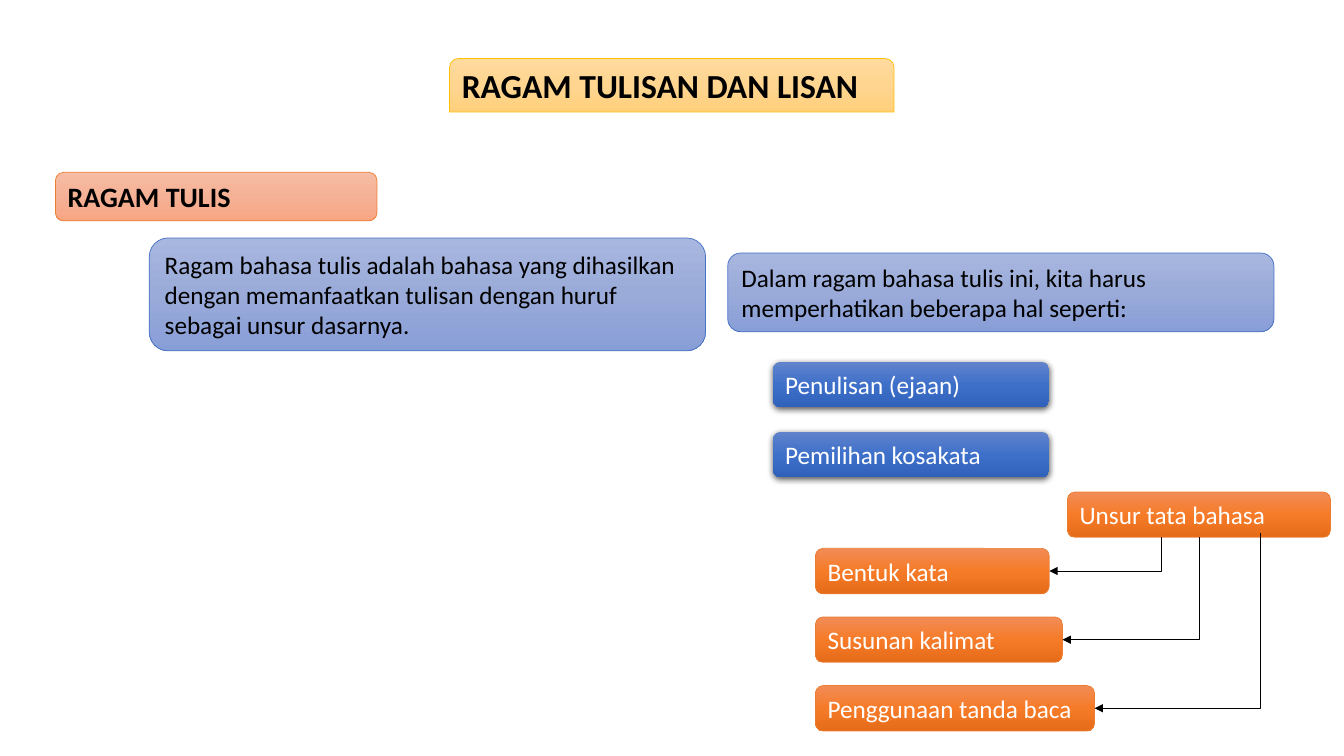
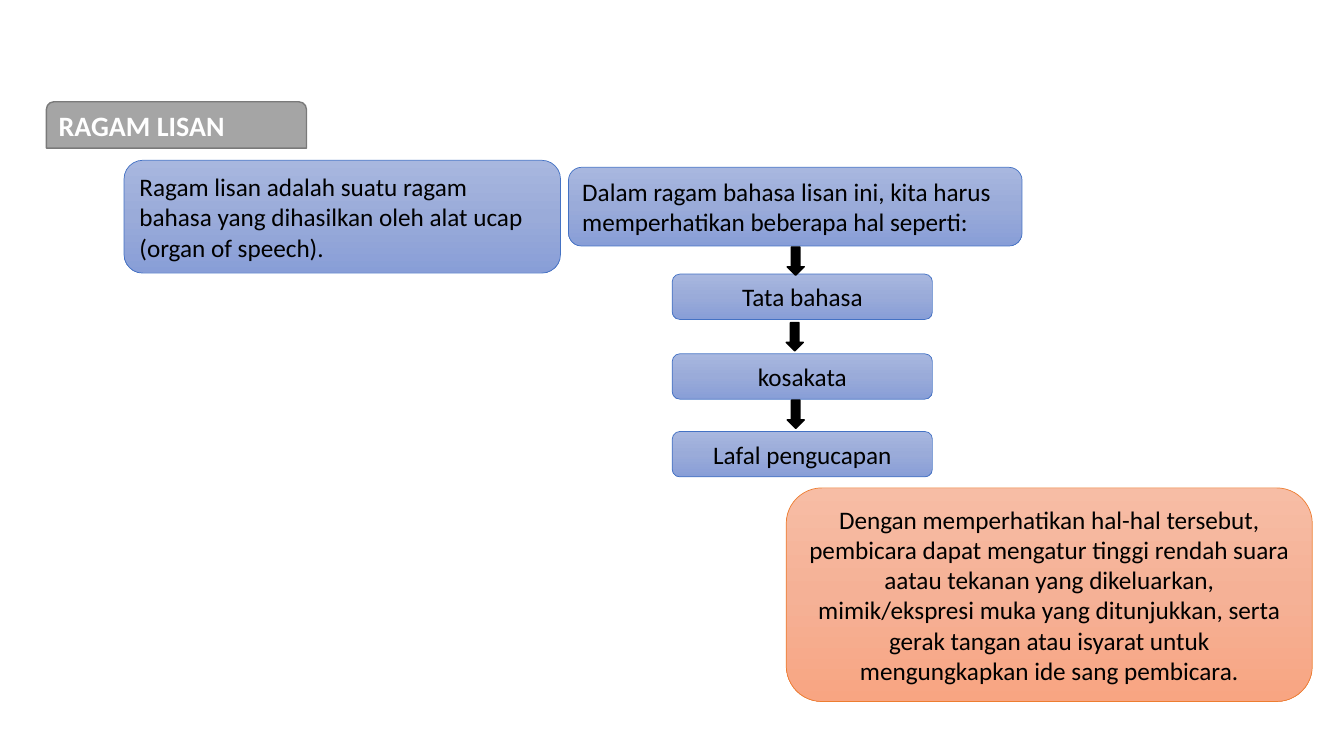
from copy import deepcopy
from dataclasses import dataclass
from typing import Optional

from lxml.etree import SubElement
from pptx import Presentation
from pptx.dml.color import RGBColor
from pptx.enum.shapes import MSO_CONNECTOR, MSO_SHAPE
from pptx.enum.text import MSO_ANCHOR, MSO_AUTO_SIZE, PP_ALIGN
from pptx.oxml.ns import qn
from pptx.util import Pt

FONT = "Calibri"
ITEM_HEIGHT = 32.4
COLORS = {
    "black": "000000", "white": "FFFFFF",
    "gold": "FFC000", "gold_top": "FFDB9E", "gold_mid": "FFD590", "gold_end": "FFD07C",
    "orange": "ED7D31", "peach_top": "F7BDA5", "peach_mid": "F5B196", "peach_end": "F8A582",
    "blue": "4472C4", "sky_top": "A8B7DF", "sky_mid": "9AABD9", "sky_end": "889ED7",
    "royal_top": "6183CB", "royal_mid": "3E70CA", "royal_end": "3062BB",
    "vivid_top": "F18C57", "vivid_mid": "F67B28", "vivid_end": "E56C19",
    "gray": "A5A5A5", "gray_edge": "7A7A7A",
}


@dataclass(frozen=True)
class Look:
    fill: tuple[str, ...]
    edge: Optional[str]
    ink: str = "black"
    edge_width: float = 0.5
    shadow: bool = False


@dataclass(frozen=True)
class Panel:
    left: float
    top: float
    width: float
    height: float
    text: str
    look: Look
    size: float = 18
    bold: bool = False
    align: PP_ALIGN = PP_ALIGN.LEFT


@dataclass(frozen=True)
class Bend:
    start_x: float
    start_y: float
    end_x: float
    end_y: float


GOLD = Look(("gold_top", "gold_mid", "gold_end"), "gold")
PEACH = Look(("peach_top", "peach_mid", "peach_end"), "orange")
SKY = Look(("sky_top", "sky_mid", "sky_end"), "blue")
ROYAL = Look(("royal_top", "royal_mid", "royal_end"), None, "white", shadow=True)
VIVID = Look(("vivid_top", "vivid_mid", "vivid_end"), "orange", "white")
GRAY = Look(("gray",), "gray_edge", "white", 1)
SOLID_BLACK = Look(("black",), "black", edge_width=1)


def rgb(name: str) -> RGBColor:
    return RGBColor.from_string(COLORS[name])


def apply_fill(shape, names: tuple[str, ...]) -> None:
    if len(names) == 1:
        shape.fill.solid()
        shape.fill.fore_color.rgb = rgb(names[0])
        return
    shape.fill.gradient()
    shape.fill.gradient_angle = 270
    stop_list = shape._element.spPr.find(".//" + qn("a:gsLst"))
    while len(stop_list) < len(names):
        stop_list.append(deepcopy(stop_list[0]))
    for index, (stop, name) in enumerate(zip(shape.fill.gradient_stops, names)):
        stop.position = index / (len(names) - 1)
        stop.color.rgb = rgb(name)


def add_soft_shadow(shape) -> None:
    effects = shape._element.spPr.find(qn("a:effectLst"))
    shadow = SubElement(effects, qn("a:outerShdw"), blurRad=str(Pt(4.5)),
                        dist=str(Pt(1.5)), dir="5400000", algn="ctr", rotWithShape="0")
    tint = SubElement(shadow, qn("a:srgbClr"), val=COLORS["black"])
    SubElement(tint, qn("a:alpha"), val="63000")


def apply_look(shape, look: Look) -> None:
    apply_fill(shape, look.fill)
    if look.edge:
        shape.line.color.rgb = rgb(look.edge)
        shape.line.width = Pt(look.edge_width)
    else:
        shape.line.fill.background()
    shape.shadow.inherit = False
    if look.shadow:
        add_soft_shadow(shape)


def write_text(shape, panel: Panel, auto_size: MSO_AUTO_SIZE, side_margin: float) -> None:
    frame = shape.text_frame
    frame.text = panel.text
    frame.word_wrap = True
    frame.auto_size = auto_size
    frame.vertical_anchor = MSO_ANCHOR.MIDDLE
    frame.margin_left = frame.margin_right = Pt(side_margin)
    frame.margin_top = frame.margin_bottom = Pt(3.6)
    for paragraph in frame.paragraphs:
        paragraph.alignment = panel.align
        paragraph.font.name = FONT
        paragraph.font.size = Pt(panel.size)
        paragraph.font.bold = panel.bold
        paragraph.font.color.rgb = rgb(panel.look.ink)


def add_outline(slide, kind: MSO_SHAPE, panel: Panel):
    shape = slide.shapes.add_shape(kind, Pt(panel.left), Pt(panel.top),
                                   Pt(panel.width), Pt(panel.height))
    apply_look(shape, panel.look)
    return shape


def add_titled_slide(deck, heading: Panel):
    slide = deck.slides.add_slide(deck.slide_layouts[5])
    band = add_outline(slide, MSO_SHAPE.ROUND_2_SAME_RECTANGLE, heading)
    title = slide.shapes.title
    title.left, title.top = band.left, band.top
    title.width, title.height = band.width, band.height
    write_text(title, heading, MSO_AUTO_SIZE.NONE, 8.8)
    band._element.addnext(title._element)
    return slide


def add_panel(slide, panel: Panel) -> None:
    shape = add_outline(slide, MSO_SHAPE.ROUNDED_RECTANGLE, panel)
    write_text(shape, panel, MSO_AUTO_SIZE.SHAPE_TO_FIT_TEXT, 7.2)


def add_down_arrow(slide, left: float, top: float) -> None:
    arrow = slide.shapes.add_shape(MSO_SHAPE.DOWN_ARROW, Pt(left), Pt(top), Pt(12.2), Pt(20.2))
    apply_look(arrow, SOLID_BLACK)


def add_bend(slide, bend: Bend) -> None:
    center_x = (bend.start_x + bend.end_x) / 2
    center_y = (bend.start_y + bend.end_y) / 2
    half_run = (bend.start_x - bend.end_x) / 2
    half_drop = (bend.end_y - bend.start_y) / 2
    connector = slide.shapes.add_connector(
        MSO_CONNECTOR.ELBOW, Pt(center_x - half_drop), Pt(center_y - half_run),
        Pt(center_x + half_drop), Pt(center_y + half_run))
    connector.line.color.rgb = rgb("black")
    connector.line.width = Pt(0.5)
    properties = connector._element.spPr
    properties.find(qn("a:xfrm")).set("rot", "5400000")
    properties.find(qn("a:prstGeom")).set("prst", "bentConnector2")
    SubElement(properties.find(qn("a:ln")), qn("a:tailEnd"), type="triangle")
    SubElement(properties, qn("a:effectLst"))


def build_written(deck) -> None:
    slide = add_titled_slide(
        deck, Panel(321.1, 41.8, 317.5, 38.2, "RAGAM TULISAN DAN LISAN", GOLD, 24, True))
    panels = [
        Panel(39.6, 123.1, 229.7, 34.6, "RAGAM TULIS", PEACH, 20, True),
        Panel(106.6, 170, 397.4, 80.6,
              "Ragam bahasa tulis adalah bahasa yang dihasilkan dengan memanfaatkan "
              "tulisan dengan huruf sebagai unsur dasarnya.", SKY),
        Panel(519.8, 180.7, 390.2, 56.2,
              "Dalam ragam bahasa tulis ini, kita harus memperhatikan beberapa hal seperti:",
              SKY),
    ]
    for row, aspect in enumerate(("Penulisan (ejaan)", "Pemilihan kosakata")):
        panels.append(Panel(552.2, 258.5 + 50 * row, 197.3, ITEM_HEIGHT, aspect, ROYAL))
    panels.append(Panel(762.5, 351.4, 187.9, ITEM_HEIGHT, "Unsur tata bahasa", VIVID))

    grammar_left, grammar_top, grammar_step = 582.5, 391.7, 49
    grammar_parts = (
        ("Bentuk kata", 167, 829.8, 383.8),
        ("Susunan kalimat", 176.4, 856.8, 383.8),
        ("Penggunaan tanda baca", 199.4, 900, 380.9),
    )
    bends = []
    for row, (part, width, start_x, start_y) in enumerate(grammar_parts):
        top = grammar_top + grammar_step * row
        panels.append(Panel(grammar_left, top, width, ITEM_HEIGHT, part, VIVID))
        bends.append(Bend(start_x, start_y, grammar_left + width, top + ITEM_HEIGHT / 2))
    for panel in panels:
        add_panel(slide, panel)
    for bend in bends:
        add_bend(slide, bend)


def build_spoken(deck) -> None:
    slide = add_titled_slide(deck, Panel(33.1, 72.7, 185.8, 33.1, "RAGAM LISAN", GRAY, 20, True))
    add_panel(slide, Panel(
        88.6, 114.5, 311.8, 80.6,
        "Ragam lisan adalah suatu ragam bahasa yang dihasilkan oleh alat ucap \n"
        "(organ of speech).", SKY))
    add_panel(slide, Panel(
        406.1, 119.5, 324, 56.2,
        "Dalam ragam bahasa lisan ini, kita harus memperhatikan beberapa hal seperti:", SKY))
    aspects = (("Tata bahasa", 195.8), ("kosakata", 252.7), ("Lafal pengucapan", 308.2))
    for aspect, top in aspects:
        add_panel(slide, Panel(480.2, top, 185.8, ITEM_HEIGHT, aspect, SKY,
                               align=PP_ALIGN.CENTER))
    for left, top in ((562.3, 176.4), (561.6, 230.4), (562.3, 285.8)):
        add_down_arrow(slide, left, top)
    add_panel(slide, Panel(
        561.6, 348.5, 375.8, 152.6,
        "Dengan memperhatikan hal-hal tersebut, pembicara dapat mengatur tinggi rendah "
        "suara aatau tekanan yang dikeluarkan, mimik/ekspresi muka yang ditunjukkan, serta "
        "gerak tangan atau isyarat untuk mengungkapkan ide sang pembicara.",
        PEACH, align=PP_ALIGN.CENTER))


def main() -> None:
    deck = Presentation()
    deck.slide_width, deck.slide_height = Pt(960), Pt(540)
    build_written(deck)
    build_spoken(deck)
    deck.save("out.pptx")


main()
